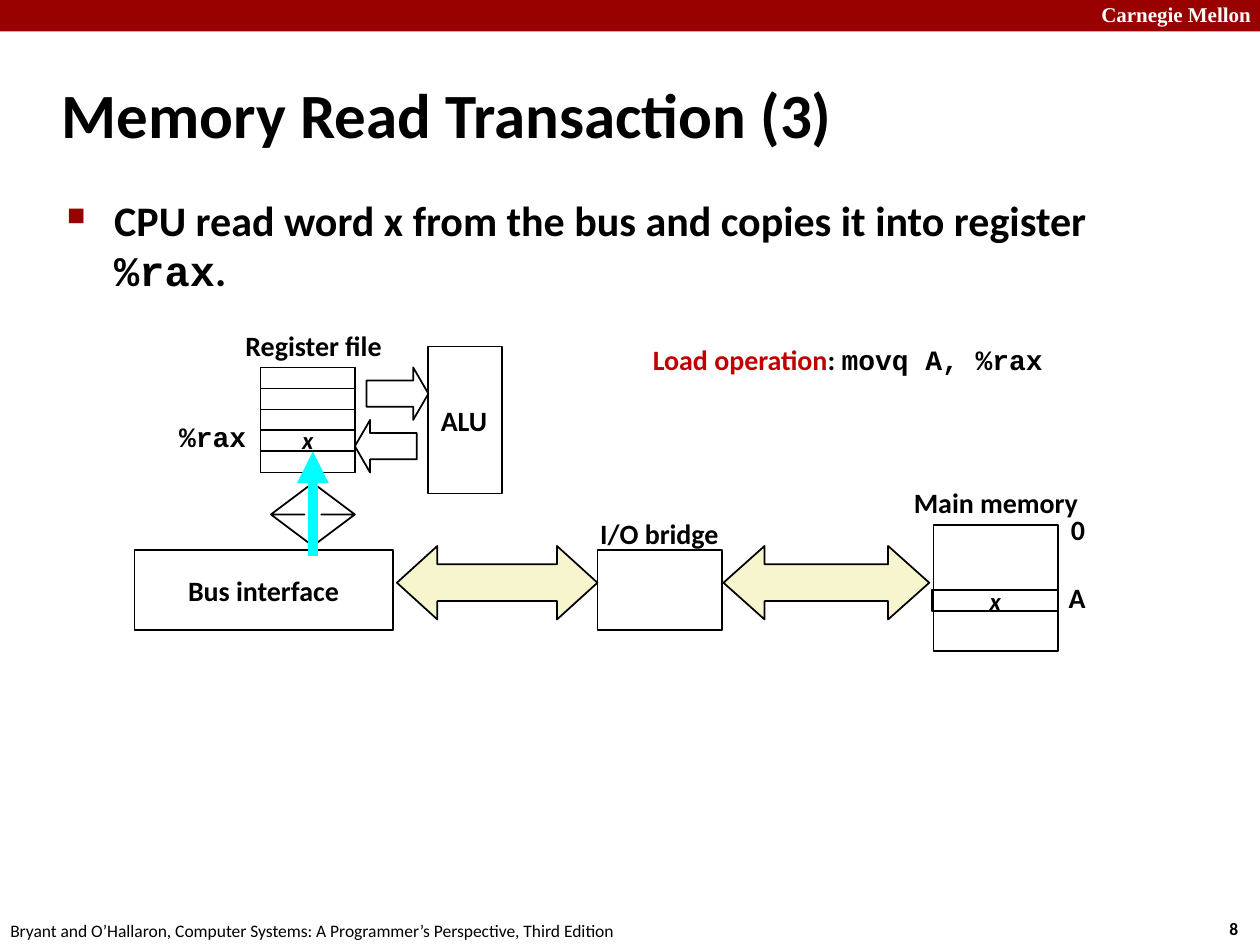
"""Build the slide on the third step of a memory read transaction."""
import pptx
import pptx.dml.color
import pptx.enum.shapes
import pptx.enum.text
import pptx.oxml
import pptx.oxml.ns
import pptx.util

FORMS = pptx.enum.shapes.MSO_SHAPE
ALIGN = pptx.enum.text.PP_ALIGN
ANCHOR = pptx.enum.text.MSO_ANCHOR
BLACK, WHITE, CARDINAL, RED = "000000", "FFFFFF", "990000", "C00000"
CREAM, CYAN = "F7F5CD", "00FFFF"
CODE = "Courier New"


def paint(target, value):
    """Give a fill or line fill one solid colour, or none."""
    if value is None:
        target.background()
    else:
        target.solid()
        target.fore_color.rgb = pptx.dml.color.RGBColor.from_string(value)


def write(para, text, size=16, font="Calibri", color=BLACK, bold=True, italic=False):
    """Append formatted text to a paragraph."""
    span = para.add_run()
    span.text = text
    span.font.size = pptx.util.Pt(size)
    span.font.name = font
    span.font.bold = bold
    span.font.italic = italic
    paint(span.font.fill, color)


deck = pptx.Presentation()
deck.slide_width, deck.slide_height = pptx.util.Inches(10), pptx.util.Inches(7.5)
page = deck.slides.add_slide(deck.slide_layouts[6])
col, row = deck.slide_width / 120, deck.slide_height / 90
names = pptx.oxml.ns.nsdecls("a")

banner = page.shapes.add_shape(FORMS.RECTANGLE, 0, 0, deck.slide_width, int(3 * row))
banner.shadow.inherit = False
paint(banner.fill, CARDINAL)
paint(banner.line.fill, None)

register_left, register_top, register_width, register_height = 24.8, 35, 9, 2
bus_top, bus_height = 52.4, 7.6
wide = (FORMS.LEFT_RIGHT_ARROW, 52)
value = {"size": 14, "italic": True}

parts = [
    (*wide, 68.9, 19.6, 7, CREAM, (0.5, 0.56)),
    (FORMS.RECTANGLE, bus_top, 56.9, 11.9, bus_height, None, ()),
    (*wide, 37.8, 19.1, 7, CREAM, (0.5, 0.55)),
]
for index in range(5):
    parts.append((FORMS.RECTANGLE, register_top + index * register_height,
                  register_left, register_width, register_height, None, ()))
parts += [
    (FORMS.RIGHT_ARROW, 35, 34.9, 5.9, 5, None, (0.5, 0.29)),
    (FORMS.LEFT_ARROW, 40, 33.8, 5.9, 5, None, (0.5, 0.29)),
    (FORMS.UP_DOWN_ARROW, 46, 25.8, 8, 6, None, (0.5, 0.2)),
    (FORMS.RECTANGLE, 50, 88.9, 11.9, 12, None, ()),
    (FORMS.RECTANGLE, 33, 40.8, 7, 14, None, (), "ALU", ALIGN.LEFT, {}),
    (FORMS.RECTANGLE, bus_top, 12.8, 24.6, bus_height, WHITE, (),
     "Bus interface", ALIGN.CENTER, {}),
    (FORMS.RECTANGLE, 56.2, 88.8, 12, 2, None, (), "x", ALIGN.CENTER, value),
    (FORMS.RECTANGLE, register_top + 3 * register_height - 0.1, register_left,
     register_width, register_height, None, (), "x", ALIGN.CENTER, value),
]
for form, top, left, width, height, fill, bends, *label in parts:
    shape = page.shapes.add_shape(form, int(left * col), int(top * row),
                                  int(width * col), int(height * row))
    shape.shadow.inherit = False
    paint(shape.fill, fill)
    paint(shape.line.fill, BLACK)
    shape.line.width = pptx.util.Pt(1)
    for index, bend in enumerate(bends):
        shape.adjustments[index] = bend
    if label:
        text, align, style = label
        shape.text_frame.word_wrap = False
        shape.text_frame.vertical_anchor = ANCHOR.MIDDLE
        para = shape.text_frame.paragraphs[0]
        para.alignment = align
        write(para, text, **style)

flow = page.shapes.add_connector(pptx.enum.shapes.MSO_CONNECTOR.STRAIGHT,
                                 int(29.8 * col), int(53 * row),
                                 int(29.8 * col), int(43 * row))
paint(flow.line.fill, CYAN)
flow.line.width = pptx.util.Pt(6)
outline = flow._element.spPr.find(pptx.oxml.ns.qn("a:ln"))
outline.append(pptx.oxml.parse_xml(f'<a:tailEnd {names} type="triangle"/>'))
flow._element.spPr.append(pptx.oxml.parse_xml(f"<a:effectLst {names}/>"))

citation = ("Bryant and O’Hallaron, Computer Systems: "
            "A Programmer’s Perspective, Third Edition")
middle, upper = ANCHOR.MIDDLE, ANCHOR.TOP
left_side, centre = ALIGN.LEFT, ALIGN.CENTER
boxes = [
    (103.7, -0.4, 17.2, 3.6, True, upper, left_side,
     [("Carnegie Mellon", {"size": 12, "font": "Times New Roman", "color": WHITE})]),
    (115.9, 86.8, 4.4, 3.2, False, upper, left_side, [("8", {"size": 10})]),
    (-0.2, 87, 61, 3.2, False, upper, left_side,
     [(citation, {"size": 10, "bold": False})]),
    (4.7, 5.8, 99.6, 10, True, middle, left_side,
     [("Memory Read Transaction (3)", {"size": 36})]),
    (22.2, 30.7, 15.6, 4.4, False, middle, left_side, [("Register file", {})]),
    (85, 45.6, 19.7, 4.4, True, middle, centre, [("Main memory", {})]),
    (100.8, 48.2, 3.8, 4.4, False, middle, left_side, [("0", {})]),
    (100.6, 54.7, 4.1, 4.4, False, middle, left_side, [("A", {})]),
    (15.8, 39.4, 8.9, 4.4, False, middle, centre, [("%rax", {"font": CODE})]),
    (55.9, 48.6, 13.8, 4.4, False, middle, centre, [("I/O bridge", {})]),
    (61, 32, 40.1, 4.4, False, upper, left_side,
     [("Load operation", {"color": RED}), (": ", {}), ("movq A, %rax", {"font": CODE})]),
    (5.2, 17.9, 103.7, 65.3, True, upper, left_side,
     [("CPU read word x from the bus and copies it into register ", {"size": 24}),
      ("%rax", {"size": 24, "font": CODE}), (".", {"size": 24})]),
]
for left, top, width, height, wrap, anchor, align, spans in boxes:
    box = page.shapes.add_textbox(int(left * col), int(top * row),
                                  int(width * col), int(height * row))
    box.text_frame.word_wrap = wrap
    box.text_frame.vertical_anchor = anchor
    para = box.text_frame.paragraphs[0]
    para.alignment = align
    for text, style in spans:
        write(para, text, **style)

hang = int(4.5 * col)
properties = para._p.get_or_add_pPr()
properties.set("marL", str(hang))
properties.set("indent", str(-hang))
for markup in (f'<a:buClr {names}><a:srgbClr val="{CARDINAL}"/></a:buClr>',
               f'<a:buSzPct {names} val="60000"/>',
               f'<a:buChar {names} char="■"/>'):
    properties.append(pptx.oxml.parse_xml(markup))

deck.save("out.pptx")
